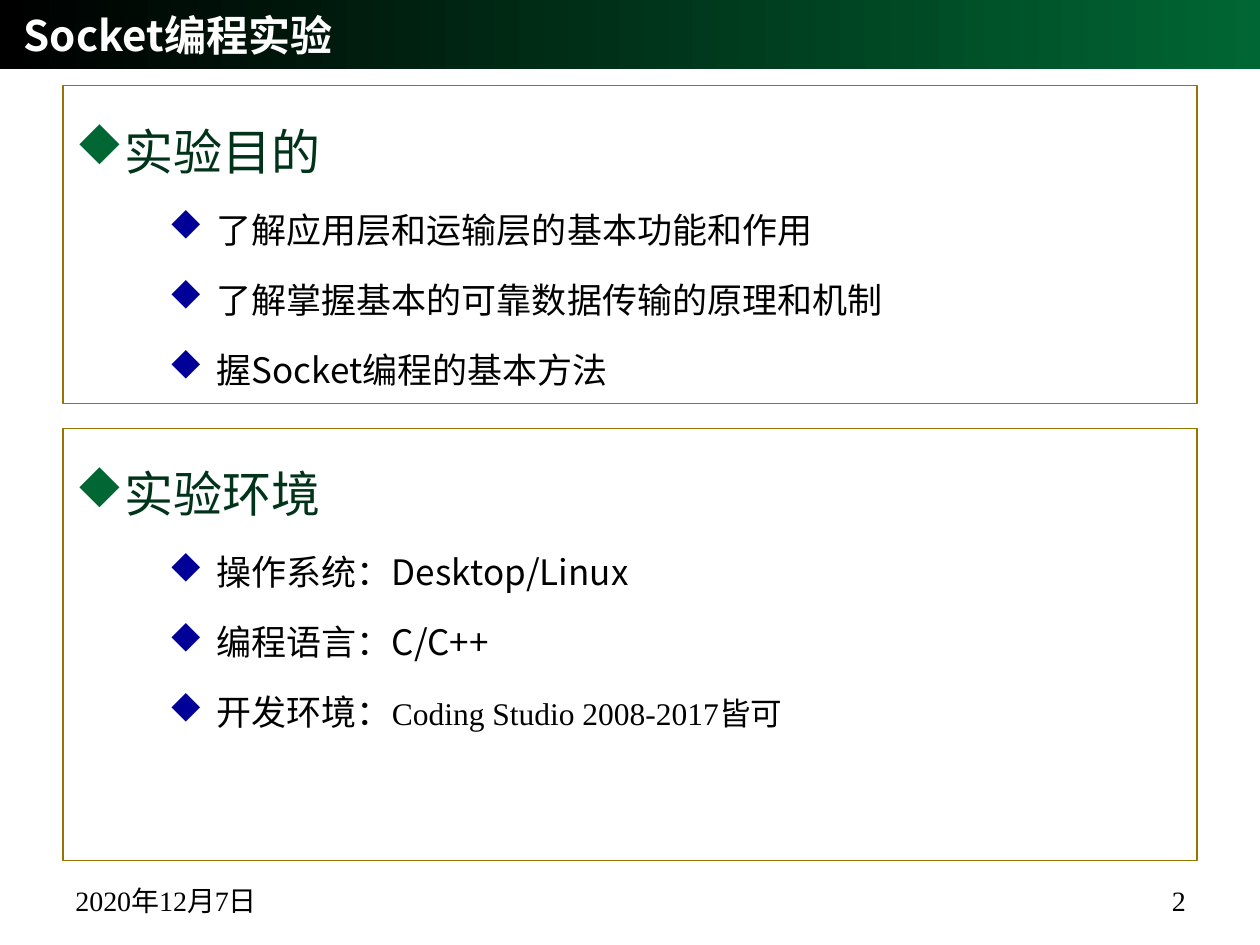
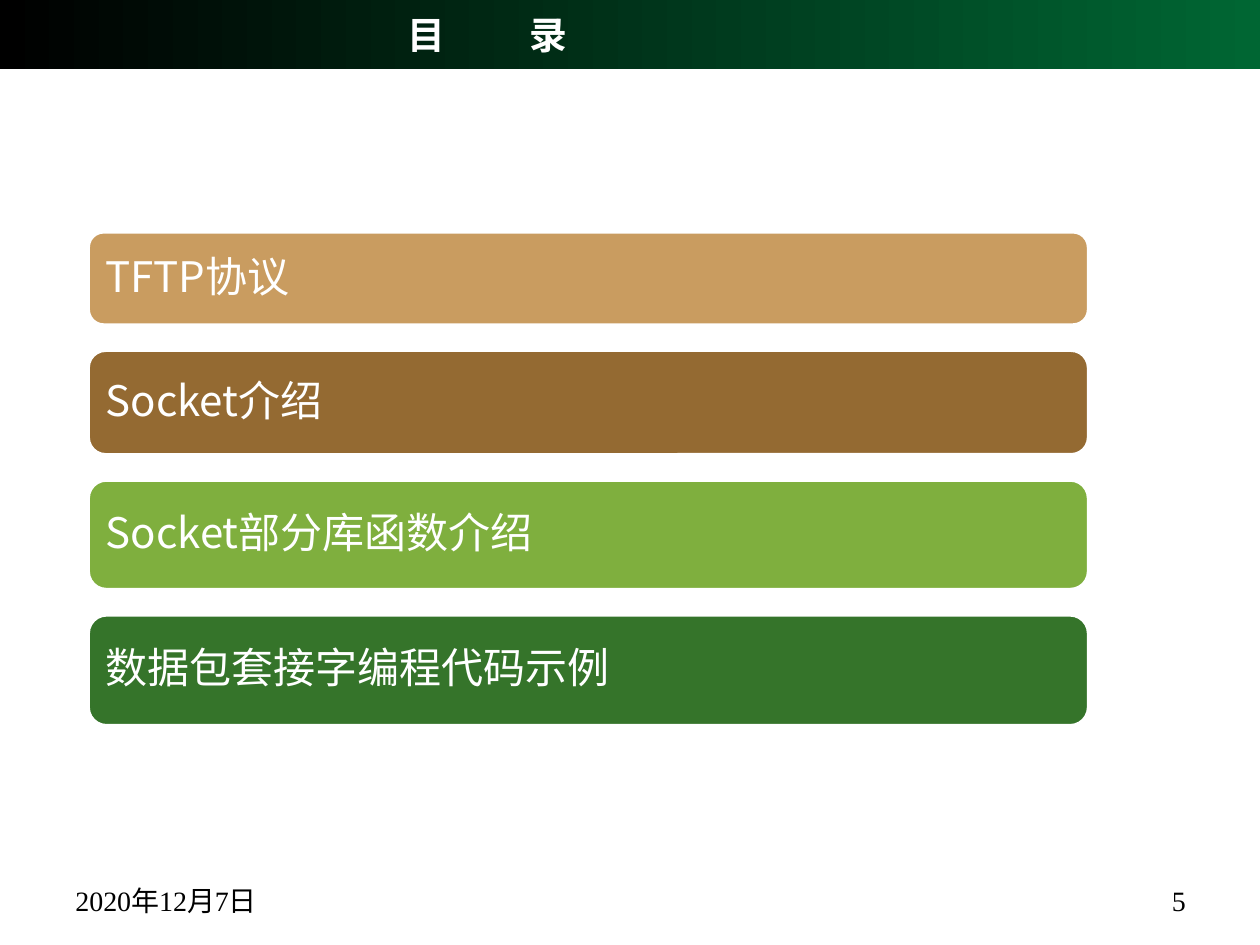
"""Build two slides of a Socket programming lab lecture."""
import lxml.etree
import pptx
import pptx.dml.color
import pptx.enum.shapes
import pptx.enum.text
import pptx.oxml.ns
import pptx.util

Inches = pptx.util.Inches
Pt = pptx.util.Pt
Shape = pptx.enum.shapes.MSO_SHAPE
Align = pptx.enum.text.PP_ALIGN
Anchor = pptx.enum.text.MSO_ANCHOR
qn = pptx.oxml.ns.qn

SANS = "Noto Sans CJK SC"
SERIF = "Times New Roman"
COLORS = {
    "black": "000000", "white": "FFFFFF", "green": "006633",
    "heading": "003319", "blue": "000099", "border": "997300",
    "tan": "C99C60", "brown": "946A32", "lime": "7FAF3E", "forest": "35742A",
}
LEVELS = [
    {"size": 28, "color": "heading", "bullet": "green", "indent": 0.38},
    {"size": 20, "color": "black", "bullet": "blue", "indent": 1.12},
]
HANGING = 0.38


def rgb(name):
    return pptx.dml.color.RGBColor.from_string(COLORS[name])


def add_element(parent, tag, **attributes):
    return lxml.etree.SubElement(parent, qn(tag), attributes)


class LabDeck:
    def __init__(self):
        self.deck = pptx.Presentation()
        self.deck.slide_width = Inches(10)
        self.deck.slide_height = Inches(7.5)
        self.page = None

    def new_page(self, number):
        self.page = self.deck.slides.add_slide(self.deck.slide_layouts[6])
        band = self.shape(Shape.RECTANGLE, 0, 0, 10, 0.55)
        band.fill.gradient()
        band.fill.gradient_angle = 0
        for stop, color in zip(band.fill.gradient_stops, ("black", "green")):
            stop.color.rgb = rgb(color)
        self.footer("2020年12月7日", 0.5, 2.33, Align.LEFT)
        self.footer(str(number), 6.34, 3.17, Align.RIGHT)

    def shape(self, kind, left, top, width, height):
        shape = self.page.shapes.add_shape(
            kind, Inches(left), Inches(top), Inches(width), Inches(height))
        shape.shadow.inherit = False
        shape.line.fill.background()
        return shape

    def style(self, span, size, color, font=SANS, bold=False):
        span.font.size = Pt(size)
        span.font.name = font
        span.font.bold = bold
        span.font.color.rgb = rgb(color)
        add_element(span.font._element, "a:ea", typeface=SANS)

    def text_box(self, left, top, width, height, anchor, align):
        box = self.page.shapes.add_textbox(
            Inches(left), Inches(top), Inches(width), Inches(height))
        box.text_frame.word_wrap = True
        box.text_frame.vertical_anchor = anchor
        para = box.text_frame.paragraphs[0]
        para.alignment = align
        return para

    def footer(self, text, left, width, align):
        para = self.text_box(left, 6.83, width, 0.5, Anchor.BOTTOM, align)
        para.text = text
        self.style(para.runs[0], 16, "black", SERIF)

    def title(self, words, left, size, align=Align.LEFT, gap=0):
        para = self.text_box(left, 0.08, 6.8, 0.39, Anchor.MIDDLE, align)
        for index, word in enumerate(words):
            span = para.add_run()
            span.text = word
            self.style(span, size, "white", bold=True)
            if index < len(words) - 1:
                span.font._element.set("spc", str(gap * 100))

    def bullet(self, para, level, first):
        look = LEVELS[level]
        para.level = level
        para.alignment = Align.LEFT
        para.line_spacing = 1.5
        properties = para._p.get_or_add_pPr()
        properties.set("marL", str(Inches(look["indent"])))
        properties.set("indent", str(-Inches(HANGING)))
        if not first:
            space = add_element(properties, "a:spcBef")
            add_element(space, "a:spcPct", val="20000")
        color = add_element(properties, "a:buClr")
        add_element(color, "a:srgbClr", val=COLORS[look["bullet"]])
        add_element(properties, "a:buFont", typeface="Wingdings", charset="2")
        add_element(properties, "a:buChar", char="u")

    def panel(self, top, height, heading, items):
        panel = self.shape(Shape.RECTANGLE, 0.5, top, 9, height)
        panel.fill.background()
        panel.line.color.rgb = rgb("border")
        panel.line.width = Pt(0.75)
        frame = panel.text_frame
        frame.word_wrap = True
        frame.vertical_anchor = Anchor.TOP
        frame.text = "\n".join([heading, *items])
        for index, para in enumerate(frame.paragraphs):
            level = min(index, 1)
            self.bullet(para, level, index == 0)
            self.style(para.runs[0], LEVELS[level]["size"], LEVELS[level]["color"])
        return frame

    def topic_bar(self, text, top, height, color):
        bar = self.shape(Shape.ROUNDED_RECTANGLE, 0.7, top, 7.94, height)
        bar.fill.solid()
        bar.fill.fore_color.rgb = rgb(color)
        bar.line.color.rgb = rgb("white")
        bar.line.width = Pt(2)
        frame = bar.text_frame
        frame.word_wrap = True
        frame.vertical_anchor = Anchor.MIDDLE
        frame.text = text
        para = frame.paragraphs[0]
        para.alignment = Align.LEFT
        para.line_spacing = 0.9
        self.style(para.runs[0], 24, "white")


def build_lab_overview(lab):
    lab.new_page(2)
    lab.title(["Socket编程实验"], 0.09, 24)
    lab.panel(0.68, 2.52, "实验目的", [
        "了解应用层和运输层的基本功能和作用",
        "了解掌握基本的可靠数据传输的原理和机制",
        "握Socket编程的基本方法",
    ])
    environment = lab.panel(3.4, 3.43, "实验环境", [
        "操作系统：Desktop/Linux",
        "编程语言：C/C++",
        "开发环境：",
    ])
    span = environment.paragraphs[-1].add_run()
    span.text = "Coding Studio 2008-2017皆可"
    lab.style(span, 18, "black", SERIF)


def build_contents(lab):
    lab.new_page(5)
    lab.title(["目", "录"], 0.47, 21.6, Align.CENTER, gap=48)
    topics = [
        ("TFTP协议", 0.74, "tan"),
        ("Socket介绍", 0.83, "brown"),
        ("Socket部分库函数介绍", 0.87, "lime"),
        ("数据包套接字编程代码示例", 0.88, "forest"),
    ]
    top, gap = 1.84, 0.2
    for text, height, color in topics:
        lab.topic_bar(text, top, height, color)
        top += height + gap


def main():
    lab = LabDeck()
    build_lab_overview(lab)
    build_contents(lab)
    lab.deck.save("out.pptx")


if __name__ == "__main__":
    main()
